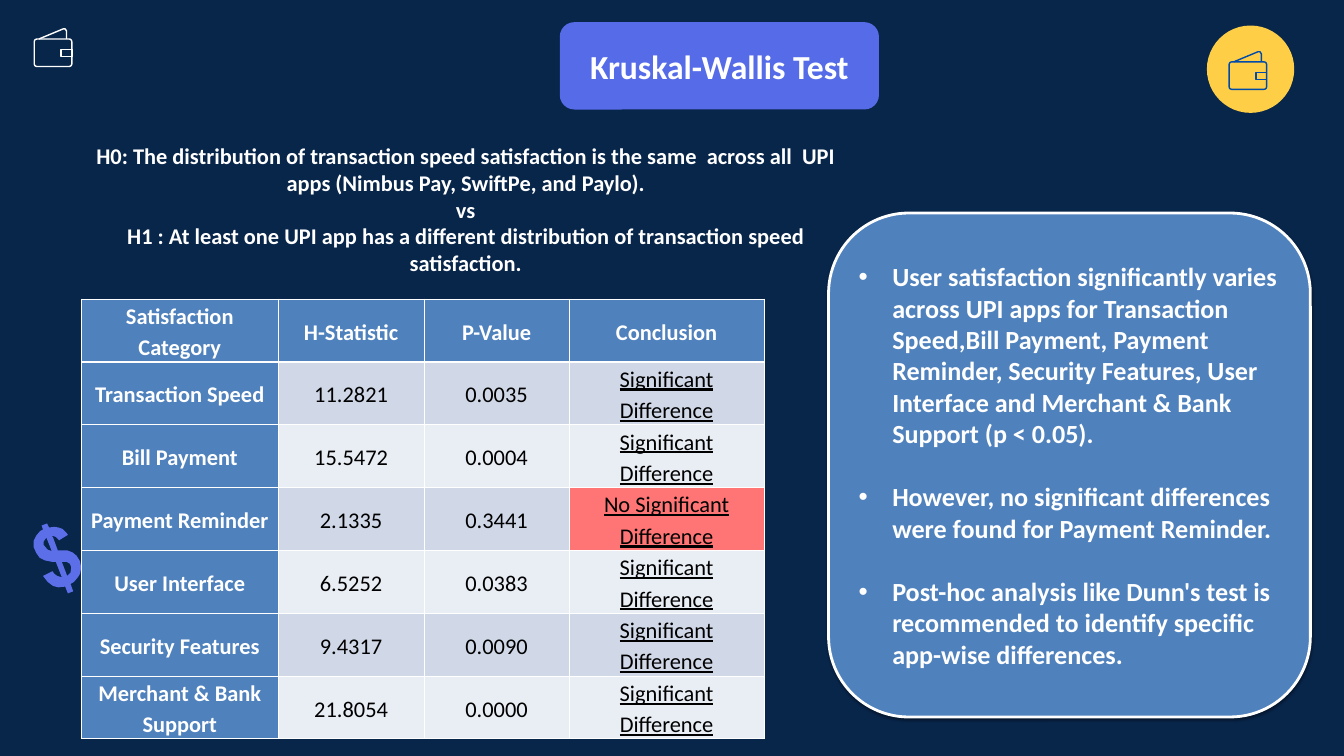
from lxml.etree import SubElement
from pptx import Presentation
from pptx.dml.color import RGBColor
from pptx.enum.shapes import MSO_SHAPE
from pptx.enum.text import MSO_ANCHOR, MSO_AUTO_SIZE, PP_ALIGN
from pptx.oxml.ns import qn
from pptx.util import Inches, Pt

FONT = "Calibri"
WHITE = "FFFFFF"
BLACK = "000000"
BLUE = "4F81BD"
BANDS = ("D0D8E8", "E9EDF4")

RULES = [
    (2.26, ["H0: The distribution of transaction speed satisfaction is the same  across "
            "all  UPI apps (Nimbus Pay, SwiftPe, and Paylo).", "vs"]),
    (3.24, ["H1 : At least one UPI app has a different distribution of transaction speed "
            "satisfaction."]),
]
NOTES = [
    "User satisfaction significantly varies across UPI apps for Transaction Speed,"
    "Bill Payment, Payment Reminder, Security Features, User Interface and "
    "Merchant & Bank Support (p < 0.05).",
    "However, no significant differences were found for Payment Reminder.",
    "Post-hoc analysis like Dunn's test is recommended to identify specific "
    "app-wise differences.",
]
HEADS = ["Satisfaction Category", "H-Statistic", "P-Value", "Conclusion"]
TESTS = [
    ("Transaction Speed", "11.2821", "0.0035"),
    ("Bill Payment", "15.5472", "0.0004"),
    ("Payment Reminder", "2.1335", "0.3441"),
    ("User Interface", "6.5252", "0.0383"),
    ("Security Features", "9.4317", "0.0090"),
    ("Merchant & Bank Support", "21.8054", "0.0000"),
]
WIDTHS = [2.93, 2.17, 2.16, 2.9]

DOLLAR = [
    [(.64, 7.88), (.62, 7.82), (.7, 7.79), (.73, 7.85), (.81, 7.84), (.87, 7.85),
     (.93, 7.87), (.99, 7.93), (1.01, 7.96), (.88, 8.04), (.83, 7.99), (.77, 7.97),
     (.79, 8), (.86, 8.19), (1, 8.19), (1.08, 8.22), (1.14, 8.27), (1.19, 8.35),
     (1.21, 8.45), (1.19, 8.54), (1.16, 8.59), (1.1, 8.66), (1.05, 8.69),
     (1.09, 8.8), (1.01, 8.83), (.97, 8.73), (.87, 8.74), (.79, 8.72), (.71, 8.66),
     (.64, 8.57), (.78, 8.5), (.81, 8.54), (.85, 8.57), (.92, 8.59), (.83, 8.36),
     (.77, 8.36), (.67, 8.34), (.59, 8.3), (.54, 8.23), (.5, 8.14), (.5, 8.05),
     (.54, 7.97), (.6, 7.9)],
    [(.69, 8), (.65, 8.06), (.65, 8.11), (.71, 8.18), (.77, 8.2)],
    [(.92, 8.36), (1, 8.57), (1.05, 8.52), (1.06, 8.44), (1.04, 8.39), (.99, 8.36)],
]
FLAP = [(.08, .16), (.44, .01), (.47, .01), (.49, .04), (.49, .16)]


def tint(code):
    return RGBColor.from_string(code)


def paint(shape, fill=None, line=None, width=1.5):
    shape.shadow.inherit = False
    if fill:
        shape.fill.solid()
        shape.fill.fore_color.rgb = tint(fill)
    else:
        shape.fill.background()
    if line:
        shape.line.color.rgb = tint(line)
        shape.line.width = Pt(width)
    else:
        shape.line.fill.background()


def write(frame, texts, size=24, color=WHITE, bold=True, under=False,
          align=PP_ALIGN.CENTER, space=None, gap=0, indent=0, bullet=False):
    frame.word_wrap = True
    for i, text in enumerate(texts):
        para = frame.paragraphs[0] if i == 0 else frame.add_paragraph()
        para.alignment = align
        para.line_spacing = space
        para.space_before = Pt(gap if i else 0)
        props = para._p.get_or_add_pPr()
        props.set("marL", str(Inches(indent)))
        props.set("indent", str(Inches(-indent if bullet else 0)))
        if bullet:
            SubElement(props, qn("a:buFont"), typeface="Arial")
            SubElement(props, qn("a:buChar"), char="•")
        run = para.add_run()
        run.text = text
        font = run.font
        font.name, font.size, font.bold = FONT, Pt(size), bold
        font.underline = under
        font.color.rgb = tint(color)


def block(slide, kind, x, y, w, h, **look):
    shape = slide.shapes.add_shape(kind, Inches(x), Inches(y), Inches(w), Inches(h))
    paint(shape, **look)
    return shape


def trace(slide, loops, x=0, y=0, close=True, **look):
    paths = [[(Inches(x + a), Inches(y + b)) for a, b in loop] for loop in loops]
    pen = slide.shapes.build_freeform(*paths[0][0])
    for i, points in enumerate(paths):
        if i:
            pen.move_to(*points[0])
        pen.add_line_segments(points[1:], close=close)
    paint(pen.convert_to_shape(), **look)


def wallet(slide, x, y, color):
    body = block(slide, MSO_SHAPE.ROUNDED_RECTANGLE, x + .01, y + .16, .56, .41, line=color)
    body.adjustments[0] = .1
    block(slide, MSO_SHAPE.RECTANGLE, x + .41, y + .32, .16, .1, line=color)
    trace(slide, [FLAP], x, y, close=False, line=color)


def title(slide, text):
    place = 8.33, .33, 4.75, 1.3
    block(slide, MSO_SHAPE.ROUNDED_RECTANGLE, *place, fill="566BE8")
    shape = slide.shapes.title
    shape.left, shape.top, shape.width, shape.height = map(Inches, place)
    slide.shapes._spTree.append(shape._element)
    frame = shape.text_frame
    frame.auto_size = MSO_AUTO_SIZE.NONE
    frame.vertical_anchor = MSO_ANCHOR.MIDDLE
    write(frame, [text], size=36)


def label(slide, y, texts):
    shape = block(slide, MSO_SHAPE.PARALLELOGRAM, -1, y, 14.92, .92)
    shape.text_frame.vertical_anchor = MSO_ANCHOR.MIDDLE
    write(shape.text_frame, texts, indent=.94)


def panel(slide):
    shape = block(slide, MSO_SHAPE.ROUNDED_RECTANGLE, 12.33, 3.17, 7.17, 7.5,
                  fill=BLUE, line=WHITE, width=3)
    glow = SubElement(shape._element.spPr.find(qn("a:effectLst")), qn("a:outerShdw"),
                      blurRad=str(Pt(3.1)), dist=str(Pt(1.6)), dir="5400000", rotWithShape="0")
    shade = SubElement(glow, qn("a:srgbClr"), val=BLACK)
    SubElement(shade, qn("a:alpha"), val="38000")
    shape.text_frame.vertical_anchor = MSO_ANCHOR.MIDDLE
    write(shape.text_frame, NOTES, size=28, align=PP_ALIGN.LEFT, gap=34.2,
          indent=.5, bullet=True)


def fill_cell(cell, text, fill, base=1, **look):
    cell.margin_left = cell.margin_right = Inches(.07)
    cell.margin_top = cell.margin_bottom = 0
    cell.vertical_anchor = MSO_ANCHOR.MIDDLE
    props = cell._tc.get_or_add_tcPr()
    for side, width in (("L", 1), ("R", 1), ("T", 1), ("B", base)):
        edge = SubElement(props, qn("a:ln" + side), w=str(Pt(width)))
        SubElement(SubElement(edge, qn("a:solidFill")), qn("a:srgbClr"), val=WHITE)
    cell.fill.solid()
    cell.fill.fore_color.rgb = tint(fill)
    write(cell.text_frame, [text], space=1.15, **look)


def grid(slide):
    count = len(TESTS) + 1
    table = slide.shapes.add_table(count, len(HEADS), Inches(1.21), Inches(4.45),
                                   Inches(sum(WIDTHS)), Inches(.86 * count)).table
    table.first_col = True
    for col, width in zip(table.columns, WIDTHS):
        col.width = Inches(width)
    for c, head in enumerate(HEADS):
        fill_cell(table.cell(0, c), head, BLUE, base=3)
    for r, (name, stat, prob) in enumerate(TESTS, 1):
        band = BANDS[(r - 1) % 2]
        passed = float(prob) < .05
        verdict = "Significant Difference" if passed else "No Significant Difference"
        plain = {"color": BLACK, "bold": False}
        fill_cell(table.cell(r, 0), name, BLUE)
        fill_cell(table.cell(r, 1), stat, band, **plain)
        fill_cell(table.cell(r, 2), prob, band, **plain)
        fill_cell(table.cell(r, 3), verdict, band if passed else "FF7474", under=True, **plain)


def main():
    deck = Presentation()
    deck.slide_width, deck.slide_height = Inches(20), Inches(11.25)
    slide = deck.slides.add_slide(deck.slide_layouts[5])
    slide.background.fill.solid()
    slide.background.fill.fore_color.rgb = tint("08254A")
    title(slide, "Kruskal-Wallis Test")
    for y, texts in RULES:
        label(slide, y, texts)
    block(slide, MSO_SHAPE.OVAL, 17.96, .38, 1.3, 1.3, fill="FECF46")
    wallet(slide, 18.28, .76, "004AAC")
    wallet(slide, .5, .42, WHITE)
    trace(slide, DOLLAR, fill="5C6FE9")
    panel(slide)
    grid(slide)
    deck.save("out.pptx")


if __name__ == "__main__":
    main()
